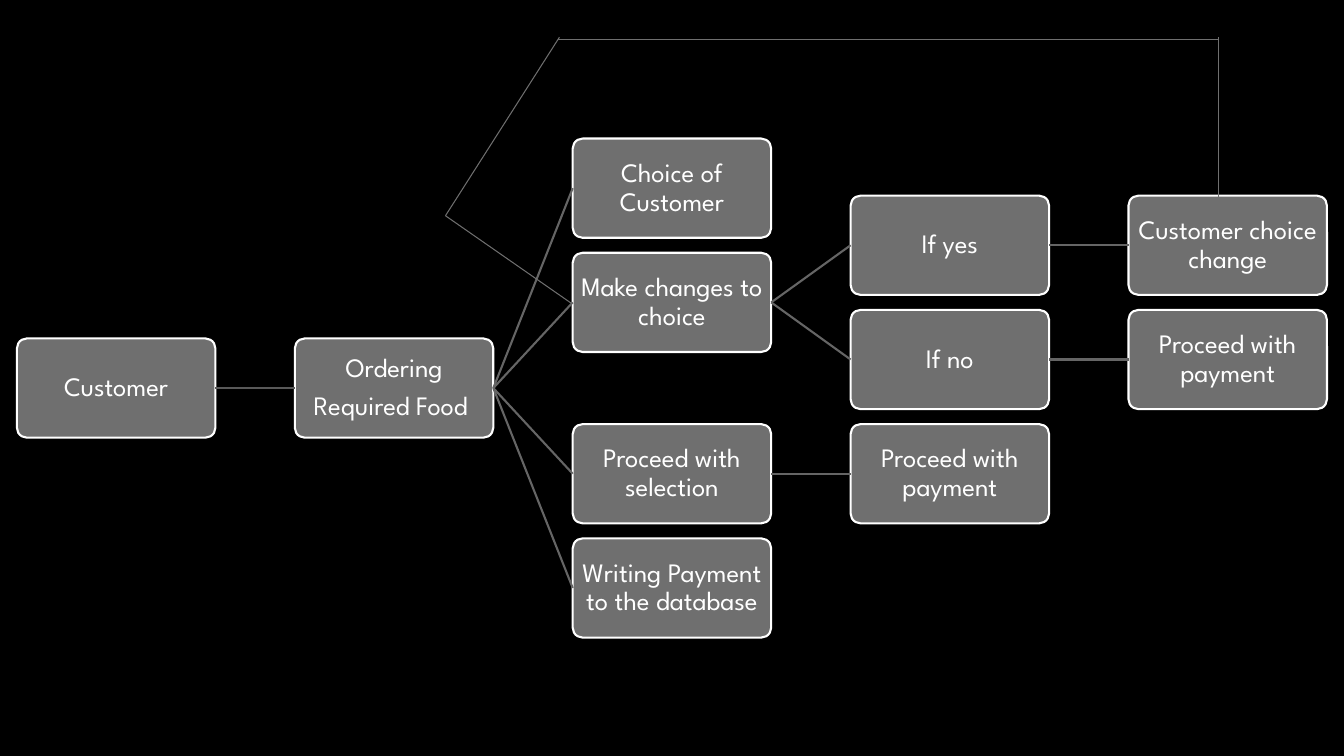
from typing import NamedTuple

from lxml import etree
from pptx import Presentation
from pptx import util as u
from pptx.dml.color import RGBColor
from pptx.enum import shapes, text
from pptx.oxml.ns import qn

COLORS = {
    "background": "000000",
    "box": "6F6F6F",
    "white": "FFFFFF",
    "first_link": "595959",
    "link": "656565",
}
FONT = "League Spartan"
BOX_WIDTH, BOX_HEIGHT = 141.8, 70.9
FIRST_LEFT, COLUMN_STEP = 12.1, 198.5
FIRST_CENTER, LEVEL_STEP = 134.4, 40.8
LEFT_SITE, RIGHT_SITE = 1, 3


class Step(NamedTuple):
    label: str
    column: int
    level: float  # in half rows below the topmost box


class Link(NamedTuple):
    source: str
    target: str
    color: str = "link"


class Segment(NamedTuple):
    x1: float
    y1: float
    x2: float
    y2: float


STEPS = {
    "customer": Step("Customer", 0, 3.5),
    "order": Step("Ordering\nRequired Food ", 1, 3.5),
    "choice": Step("Choice of Customer", 2, 0),
    "changes": Step("Make changes to choice", 2, 2),
    "selection": Step("Proceed with selection", 2, 5),
    "database": Step("Writing Payment to the database", 2, 7),
    "yes": Step("If yes", 3, 1),
    "no": Step("If no", 3, 3),
    "selection_payment": Step("Proceed with payment", 3, 5),
    "choice_change": Step("Customer choice change", 4, 1),
    "no_payment": Step("Proceed with payment", 4, 3),
}
LINKS = [
    Link("customer", "order", "first_link"),
    Link("order", "choice"),
    Link("order", "changes"),
    Link("order", "selection"),
    Link("order", "database"),
    Link("changes", "yes"),
    Link("changes", "no"),
    Link("yes", "choice_change"),
    Link("no", "no_payment"),
    Link("selection", "selection_payment"),
]
RETURN_ROUTE = [
    Segment(870.5, 140.4, 870.5, 26.6),
    Segment(870.5, 28.1, 398.9, 28.1),
    Segment(399.6, 26.6, 318.2, 154.1),
    Segment(318.2, 154.1, 408.2, 216.7),
]


def rgb(name: str) -> RGBColor:
    return RGBColor.from_string(COLORS[name])


def write_text(frame, content: str, *, size: float = 19, color: str = "white",
               line_spacing: float = 0.9, space_after: float = 6.65,
               margin: float = 1) -> None:
    """Fill a text frame with centred paragraphs, one per line of content."""
    frame.word_wrap = True
    frame.vertical_anchor = text.MSO_ANCHOR.MIDDLE
    frame.margin_left = frame.margin_right = u.Pt(margin)
    frame.margin_top = frame.margin_bottom = u.Pt(margin)
    frame.text = content
    for paragraph in frame.paragraphs:
        paragraph.alignment = text.PP_ALIGN.CENTER
        paragraph.line_spacing = line_spacing
        paragraph.space_after = u.Pt(space_after)
        for run in paragraph.runs:
            run.font.name = FONT
            run.font.size = u.Pt(size)
            run.font.color.rgb = rgb(color)


def add_step(slide, step: Step):
    left = FIRST_LEFT + step.column * COLUMN_STEP
    top = FIRST_CENTER + step.level * LEVEL_STEP - BOX_HEIGHT / 2
    box = slide.shapes.add_shape(
        shapes.MSO_SHAPE.ROUNDED_RECTANGLE,
        u.Pt(left), u.Pt(top), u.Pt(BOX_WIDTH), u.Pt(BOX_HEIGHT))
    box.adjustments[0] = 0.1
    box.shadow.inherit = False
    box.fill.solid()
    box.fill.fore_color.rgb = rgb("box")
    box.line.color.rgb = rgb("white")
    box.line.width = u.Pt(1.5)
    write_text(box.text_frame, step.label)
    return box


def add_line(slide, segment: Segment, color: str, width: float):
    line = slide.shapes.add_connector(
        shapes.MSO_CONNECTOR.STRAIGHT, *(u.Pt(value) for value in segment))
    line.line.color.rgb = rgb(color)
    line.line.width = u.Pt(width)
    etree.SubElement(line._element.spPr, qn("a:effectLst"))
    return line


def main() -> None:
    deck = Presentation()
    deck.slide_width, deck.slide_height = u.Pt(960), u.Pt(540)
    slide = deck.slides.add_slide(deck.slide_layouts[6])
    slide.background.fill.solid()
    slide.background.fill.fore_color.rgb = rgb("background")

    boxes = {key: add_step(slide, step) for key, step in STEPS.items()}
    for link in LINKS:
        line = add_line(slide, Segment(0, 0, 0, 0), link.color, 1.5)
        line.begin_connect(boxes[link.source], RIGHT_SITE)
        line.end_connect(boxes[link.target], LEFT_SITE)
    for segment in RETURN_ROUTE:
        add_line(slide, segment, "box", 0.75)
    deck.save("out.pptx")


if __name__ == "__main__":
    main()
